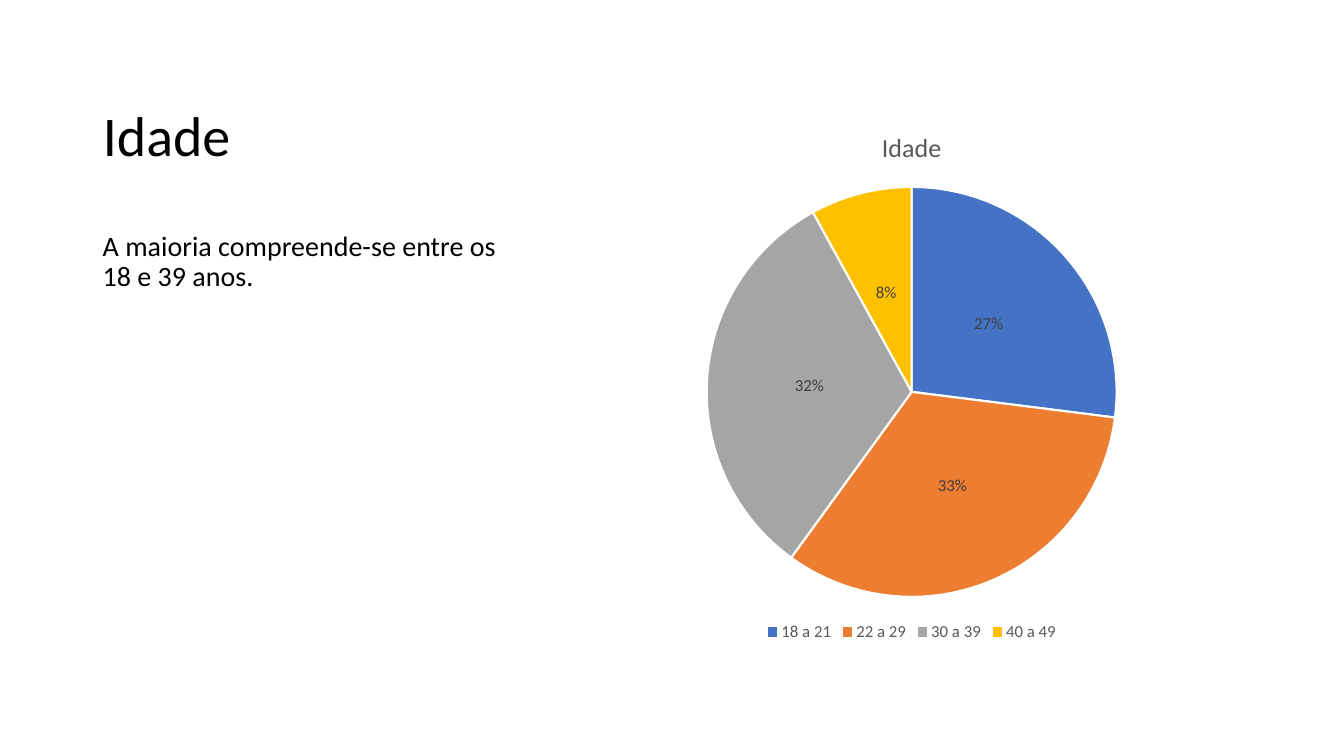
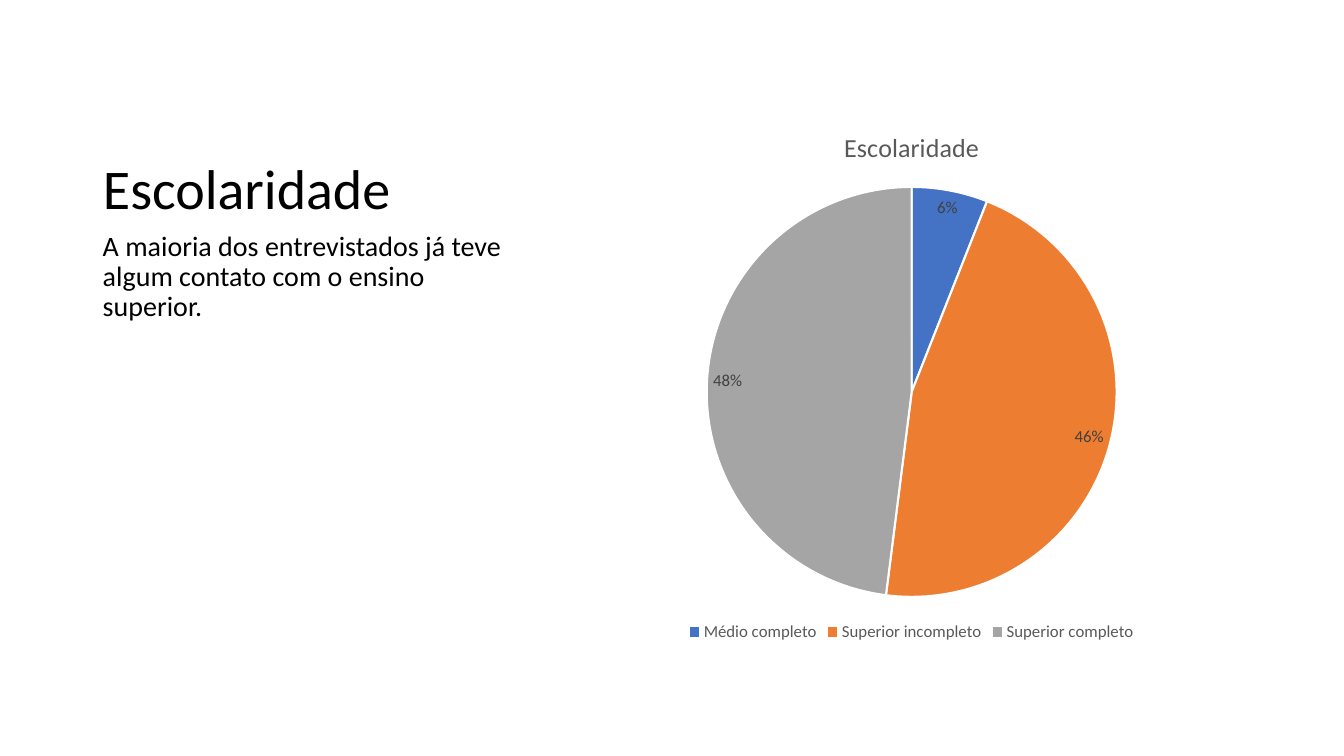
import pptx
import pptx.chart.data
import pptx.dml.color
import pptx.enum.chart
import pptx.enum.text
import pptx.util

Cm = pptx.util.Cm
Pt = pptx.util.Pt
Anchor = pptx.enum.text.MSO_ANCHOR
Place = pptx.enum.chart.XL_LABEL_POSITION

FONT = "Calibri"
HEX = {"text": "000000", "title": "595959", "label": "404040", "edge": "FFFFFF"}
SLICES = ["4472C4", "ED7D31", "A5A5A5", "FFC000"]

# Shared layout: left, top, width, height
HEAD_BOX = [Cm(n) for n in (2.34, 1.27, 10.92, 4.45)]
BODY_BOX = [Cm(n) for n in (2.34, 5.72, 10.92, 10.59)]
PIE_BOX = [Cm(n) for n in (14.4, 2.74, 17.15, 13.54)]


def rgb(code):
    return pptx.dml.color.RGBColor.from_string(code)


def style(font, size, color):
    font.name = FONT
    font.size = Pt(size)
    font.bold = False
    font.color.rgb = rgb(color)


def fill_text(frame, text, size, anchor, before=0):
    frame.word_wrap = True
    frame.auto_size = pptx.enum.text.MSO_AUTO_SIZE.NONE
    frame.vertical_anchor = anchor
    frame.text = text
    para = frame.paragraphs[0]
    para.alignment = pptx.enum.text.PP_ALIGN.LEFT
    para.line_spacing = 0.9
    para.space_before = Pt(before)
    style(para.font, size, HEX["text"])


def add_head(slide, text, anchor):
    head = slide.shapes.title
    head.left, head.top, head.width, head.height = HEAD_BOX
    fill_text(head.text_frame, text, 40, anchor)


def add_body(slide, text):
    box = slide.shapes.add_textbox(*BODY_BOX)
    fill_text(box.text_frame, text, 20, Anchor.TOP, before=10)


def add_pie(slide, name, shares, place, percent):
    data = pptx.chart.data.CategoryChartData()
    data.categories = list(shares)
    data.add_series(name, list(shares.values()))
    kind = pptx.enum.chart.XL_CHART_TYPE.PIE
    chart = slide.shapes.add_chart(kind, *PIE_BOX, data).chart
    style(chart.font, 10, HEX["text"])

    # Title and legend
    chart.has_title = True
    chart.chart_title.include_in_layout = False
    frame = chart.chart_title.text_frame
    frame.text = name
    style(frame.paragraphs[0].font, 18.6, HEX["title"])
    chart.has_legend = True
    chart.legend.position = pptx.enum.chart.XL_LEGEND_POSITION.BOTTOM
    chart.legend.include_in_layout = False
    style(chart.legend.font, 12, HEX["title"])

    # Slices
    plot = chart.plots[0]
    plot.vary_by_categories = True
    series = plot.series[0]
    for i, color in enumerate(SLICES[:len(shares)]):
        part = series.points[i].format
        part.fill.solid()
        part.fill.fore_color.rgb = rgb(color)
        part.line.color.rgb = rgb(HEX["edge"])
        part.line.width = Pt(1.5)

    # Labels
    labels = series.data_labels
    labels.show_percentage = percent
    labels.show_value = not percent
    labels.number_format = "0%"
    labels.number_format_is_linked = False
    labels.position = place
    style(labels.font, 12, HEX["label"])


def add_slide(deck, name, anchor, text, shares, place, percent):
    slide = deck.slides.add_slide(deck.slide_layouts.get_by_name("Title Only"))
    add_head(slide, name, anchor)
    add_pie(slide, name, shares, place, percent)
    add_body(slide, text)


def main():
    deck = pptx.Presentation()
    deck.slide_width, deck.slide_height = Cm(33.87), Cm(19.05)

    add_slide(
        deck, "Idade", Anchor.MIDDLE,
        "A maioria compreende-se entre os 18 e 39 anos.",
        {"18 a 21": 27, "22 a 29": 33, "30 a 39": 32, "40 a 49": 8},
        Place.CENTER, percent=True)
    add_slide(
        deck, "Escolaridade", Anchor.BOTTOM,
        "A maioria dos entrevistados já teve algum contato com o ensino superior.",
        {"Médio completo": 0.06, "Superior incompleto": 0.46,
         "Superior completo": 0.48},
        Place.BEST_FIT, percent=False)

    deck.save("out.pptx")


if __name__ == "__main__":
    main()
